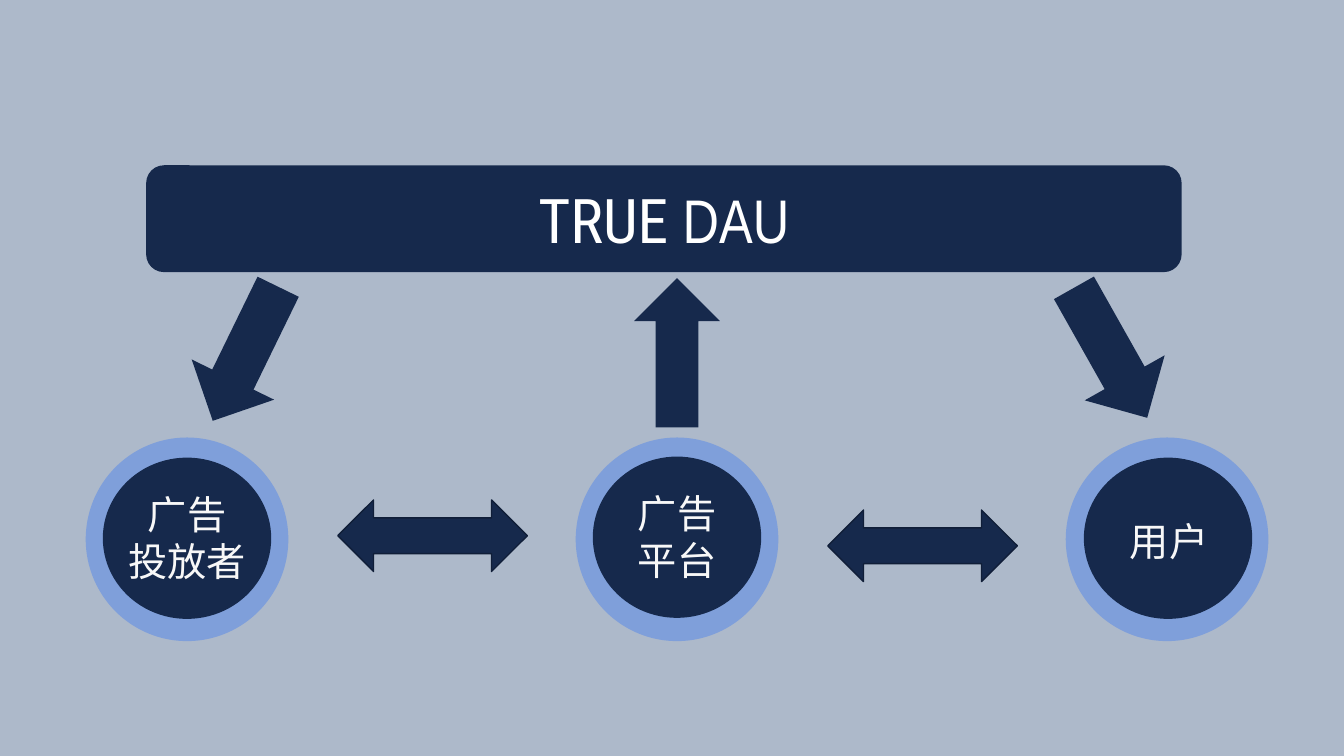
from lxml.etree import SubElement
from pptx import Presentation
from pptx.dml.color import RGBColor
from pptx.enum.shapes import MSO_SHAPE
from pptx.enum.text import MSO_ANCHOR, MSO_AUTO_SIZE, PP_ALIGN
from pptx.oxml.ns import qn
from pptx.util import Inches, Pt

# Content
BACKGROUND, NAVY, RING, EDGE = "ADB9CA", "16294C", "7F9FDA", "101E38"
LABEL, WHITE = "F8F8F8", "FFFFFF"
CJK = "Noto Sans CJK SC"
TITLE = [("TRUE ", "Roboto Condensed"), ("DAU", "Arial Narrow")]
# label lines, disc left and top, text box
ROLES = [
    (["广告", "投放者"], (1.02, 4.54), (1.13, 4.79, 1.45, 1.08)),
    (["广告", "平台"], (5.88, 4.53), (6.19, 4.78, 1.05, 1.08)),
    (["用户"], (10.75, 4.54), (11.07, 5.06, 1.05, 0.61)),
]
RING_LEFT, RING_STEP, RING_TOP = 0.85, 4.86, 4.34
EXCHANGE_ARROWS = [(3.35, 4.96), (8.21, 5.06)]
# shape, box, rotation
FLOW_ARROWS = [
    (MSO_SHAPE.UP_ARROW, (6.29, 2.76, 0.85, 1.48), 0),
    (MSO_SHAPE.DOWN_ARROW, (1.98, 2.77, 0.91, 1.48), 26),
    (MSO_SHAPE.DOWN_ARROW, (10.56, 2.76, 0.91, 1.48), 330.6),
]

prs = Presentation()
prs.slide_width, prs.slide_height = Inches(13.33), Inches(7.5)
s = prs.slides.add_slide(prs.slide_layouts[6])


def color(value):
    return RGBColor.from_string(value)


def add_shape(kind, box, fill, line=None, rotation=0):
    sp = s.shapes.add_shape(kind, *map(Inches, box))
    sp.shadow.inherit = False
    sp.fill.solid()
    sp.fill.fore_color.rgb = color(fill)
    if line:
        sp.line.color.rgb = color(line)
        sp.line.width = Pt(1)
    else:
        sp.line.fill.background()
    sp.rotation = rotation


def add_text(box, paragraphs, size, text_color, wrap):
    """Each paragraph is a list of (text, font) runs."""
    tf = s.shapes.add_textbox(*map(Inches, box)).text_frame
    tf.word_wrap = wrap
    tf.auto_size = MSO_AUTO_SIZE.SHAPE_TO_FIT_TEXT
    tf.vertical_anchor = MSO_ANCHOR.TOP
    tf.margin_left = tf.margin_right = Inches(0.13)
    tf.margin_top = tf.margin_bottom = Inches(0.07)
    for i, runs in enumerate(paragraphs):
        p = tf.paragraphs[0] if i == 0 else tf.add_paragraph()
        p.alignment = PP_ALIGN.CENTER
        p.font.size = Pt(size)
        p.font.color.rgb = color(text_color)
        for text, font in runs:
            r = p.add_run()
            r.text = text
            r.font.size = Pt(size)
            r.font.color.rgb = color(text_color)
            r.font.name = font
            # East Asian glyphs take their own typeface
            SubElement(r.font._element, qn("a:ea"), typeface=font)


# Background
s.background.fill.solid()
s.background.fill.fore_color.rgb = color(BACKGROUND)

# Ringed discs with role names
for i, (lines, disc, text_box) in enumerate(ROLES):
    ring_left = RING_LEFT + i * RING_STEP
    add_shape(MSO_SHAPE.OVAL, (ring_left, RING_TOP, 2.01, 2.02), RING)
    add_shape(MSO_SHAPE.OVAL, (*disc, 1.67, 1.6), NAVY)
    add_text(text_box, [[(line, CJK)] for line in lines], 28, LABEL, False)

# Two-way arrows between roles
for corner in EXCHANGE_ARROWS:
    add_shape(MSO_SHAPE.LEFT_RIGHT_ARROW, (*corner, 1.88, 0.71), NAVY, EDGE)

# Title bar
add_shape(MSO_SHAPE.ROUNDED_RECTANGLE, (1.45, 1.64, 10.27, 1.06), NAVY)
add_text((5.01, 1.73, 3.15, 0.88), [TITLE], 44, WHITE, True)

# Arrows between the bar and the roles
for kind, box, rotation in FLOW_ARROWS:
    add_shape(kind, box, NAVY, rotation=rotation)

prs.save("out.pptx")
